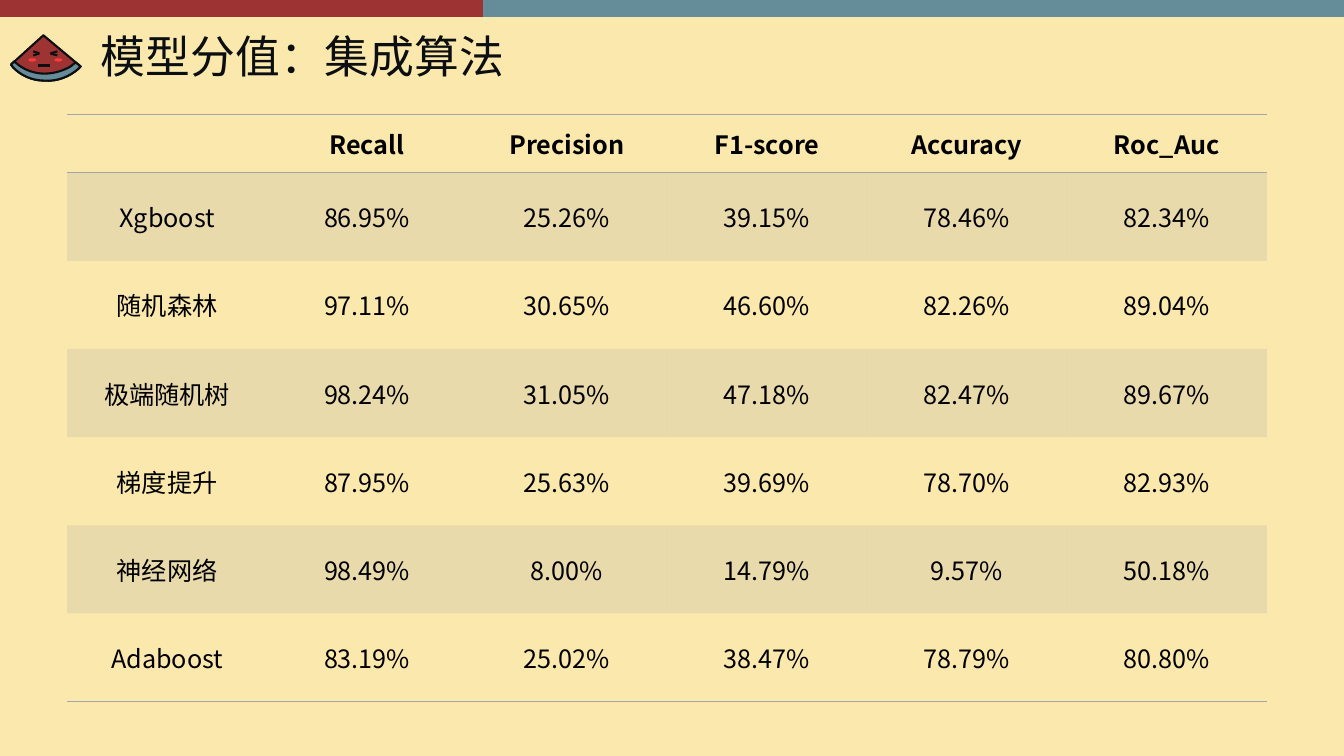
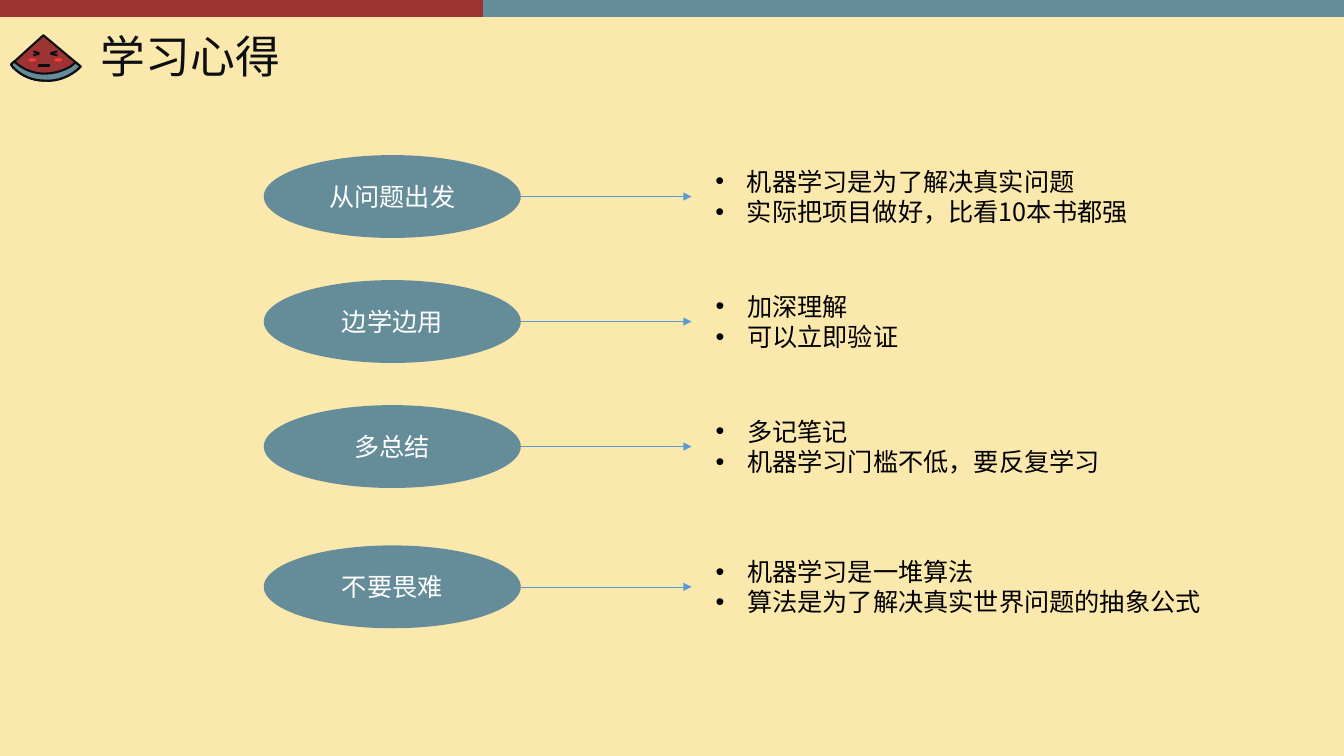
from lxml import etree
from pptx import Presentation
from pptx.dml.color import RGBColor
from pptx.enum import shapes as kinds, text as txt
from pptx.oxml import ns
from pptx.util import Pt

COLORS = {
    "paper": "FBE8AD", "red": "9D3332", "teal": "648C99", "ink": "0C0F11",
    "cheek": "FF3B3B", "gray": "A5A5A5", "arrow": "5B9BD5",
    "black": "000000", "white": "FFFFFF",
}
FONT = "Noto Sans CJK SC"
RGB = {name: RGBColor.from_string(value) for name, value in COLORS.items()}


def write_text(frame, *lines, size=18, color="black", bold=False, align=None,
               spacing=None, bullet=False):
    """Fill a text frame with one paragraph per line."""
    for number, line in enumerate(lines):
        paragraph = frame.add_paragraph() if number else frame.paragraphs[0]
        paragraph.alignment = align
        if spacing:
            paragraph.line_spacing = spacing
        if bullet:
            props = paragraph._p.get_or_add_pPr()
            props.set("marL", str(Pt(22.5)))
            props.set("indent", str(-Pt(22.5)))
            etree.SubElement(props, ns.qn("a:buFont")).set("typeface", "Arial")
            etree.SubElement(props, ns.qn("a:buChar")).set("char", "•")
        run = paragraph.add_run()
        run.text = line
        run.font.size, run.font.bold, run.font.name = Pt(size), bold, FONT
        run.font.color.rgb = RGB[color]
        east_asian = etree.SubElement(run._r.get_or_add_rPr(), ns.qn("a:ea"))
        east_asian.set("typeface", FONT)


def paint(item, fill=None, line=None, width=1.5):
    """Set fill and outline, without a shadow; a connector has no fill."""
    if line:
        item.line.color.rgb = RGB[line]
        item.line.width = Pt(width)
    else:
        item.line.fill.background()
    if fill:
        item.fill.solid()
        item.fill.fore_color.rgb = RGB[fill]
        item.shadow.inherit = False
    else:
        etree.SubElement(item._element.spPr, ns.qn("a:effectLst"))


prs = Presentation()
prs.slide_width, prs.slide_height = Pt(960), Pt(540)
prs.slide_master.background.fill.solid()
prs.slide_master.background.fill.fore_color.rgb = RGB["paper"]
RECT, OVAL = kinds.MSO_SHAPE.RECTANGLE, kinds.MSO_SHAPE.OVAL
STRAIGHT = kinds.MSO_CONNECTOR.STRAIGHT
CENTER = txt.PP_ALIGN.CENTER
MIDDLE = txt.MSO_ANCHOR.MIDDLE

# Watermelon outlines: knots of two joined Bezier curves, sampled evenly
outer_knots = [(56.2, 49), (49.7, 54.7), (41, 58.3), (31.7, 57.6),
               (23, 57.6), (15.1, 54), (9.4, 48.2)]
inner_knots = [(13.7, 46.8), (18.7, 50.4), (25.2, 52.6), (31.7, 52.6),
               (38.9, 52.6), (45.4, 50.4), (50.4, 47.5)]
outer_arc, inner_arc = [
    [tuple((1 - t) ** 3 * a + 3 * t * (1 - t) ** 2 * b
           + 3 * t ** 2 * (1 - t) * c + t ** 3 * d
           for a, b, c, d in zip(*knots[start:start + 4]))
     for start in (0, 3) for t in [step / 8 for step in range(9)]]
    for knots in (outer_knots, inner_knots)]
left_tip, right_tip = (7.9, 46.1), (57.6, 47.5)
melon_parts = [
    ("red", [(31, 25.2), right_tip, *outer_arc, left_tip]),
    ("teal", [(10.1, 43.9), *inner_arc, (54, 44.6), right_tip, *outer_arc, left_tip]),
]
face_lines = [  # mouth, left eye, right eye
    (27.4, 46.8, 36, 46.8),
    (23.8, 36.7, 28.1, 38.2), (23.8, 39.6, 28.1, 38.2),
    (41, 39.6, 36, 38.2), (41, 36.7, 36, 38.2),
]

# Frame shared by both slides
pages = []
for title in ("模型分值：集成算法", "学习心得"):
    page = prs.slides.add_slide(prs.slide_layouts[6])
    pages.append(page)
    for left, width, color in ((291, 669, "teal"), (0, 345, "red")):
        band = page.shapes.add_shape(RECT, Pt(left), 0, Pt(width), Pt(12.2))
        paint(band, color)
    for color, points in melon_parts:
        corners = [(Pt(x), Pt(y)) for x, y in points]
        outline = page.shapes.build_freeform(*corners[0])
        outline.add_line_segments(corners[1:], close=True)
        paint(outline.convert_to_shape(), color, "ink")
    for left in (20.2, 38.9):
        cheek = page.shapes.add_shape(OVAL, Pt(left), Pt(41.6), Pt(5.6), Pt(2.4))
        paint(cheek, "cheek")
    for ends in face_lines:
        stroke = page.shapes.add_connector(STRAIGHT, *map(Pt, ends))
        paint(stroke, line="ink")
    heading = page.shapes.add_textbox(Pt(65), Pt(12.2), Pt(895), Pt(60)).text_frame
    heading.word_wrap = True
    heading.vertical_anchor = MIDDLE
    write_text(heading, title, size=32, color="ink", spacing=0.9)
scores_page, lessons_page = pages

# Model scores
scores = [
    ("", "Recall", "Precision", "F1-score", "Accuracy", "Roc_Auc"),
    ("Xgboost", "86.95%", "25.26%", "39.15%", "78.46%", "82.34%"),
    ("随机森林", "97.11%", "30.65%", "46.60%", "82.26%", "89.04%"),
    ("极端随机树", "98.24%", "31.05%", "47.18%", "82.47%", "89.67%"),
    ("梯度提升", "87.95%", "25.63%", "39.69%", "78.70%", "82.93%"),
    ("神经网络", "98.49%", "8.00%", "14.79%", "9.57%", "50.18%"),
    ("Adaboost", "83.19%", "25.02%", "38.47%", "78.79%", "80.80%"),
]
last_row = len(scores) - 1
score_frame = scores_page.shapes.add_table(
    len(scores), len(scores[0]), Pt(48), Pt(81.7), Pt(857), Pt(419.6))
score_table = score_frame.table
score_table.horz_banding = False
for style_id in score_frame._element.iter(ns.qn("a:tableStyleId")):
    style_id.text = "{2D5ABB26-0587-4C30-8999-92F81FD0307C}"  # no style, no grid
for r, values in enumerate(scores):
    score_table.rows[r].height = Pt(63 if r else 41.6)
    for c, value in enumerate(values):
        cell = score_table.cell(r, c)
        cell.vertical_anchor = MIDDLE
        if value:
            write_text(cell.text_frame, value, bold=r == 0, align=CENTER)
        if r % 2:
            cell.fill.solid()
            cell.fill.fore_color.rgb = RGB["gray"]
            for tint in cell._tc.tcPr.iter(ns.qn("a:srgbClr")):
                etree.SubElement(tint, ns.qn("a:alpha")).set("val", "20000")
        else:
            cell.fill.background()
        # Rules above and below the header and below the last row
        edges = {0: ["a:lnT", "a:lnB"], last_row: ["a:lnB"]}.get(r, [])
        for place, edge in enumerate(edges):
            rule = etree.Element(ns.qn(edge), w=str(Pt(1)))
            ink = etree.SubElement(rule, ns.qn("a:solidFill"))
            etree.SubElement(ink, ns.qn("a:srgbClr")).set("val", COLORS["gray"])
            cell._tc.tcPr.insert(place, rule)

# Lessons: topic, arrow, advice
lessons = [  # centre height, advice width, topic, advice
    (140.4, 313, "从问题出发", ["机器学习是为了解决真实问题", "实际把项目做好，比看10本书都强"]),
    (229.7, 146, "边学边用", ["加深理解", "可以立即验证"]),
    (319, 292, "多总结", ["多记笔记", "机器学习门槛不低，要反复学习"]),
    (419.2, 364, "不要畏难", ["机器学习是一堆算法", "算法是为了解决真实世界问题的抽象公式"]),
]
for middle, advice_width, topic, advice in lessons:
    bubble = lessons_page.shapes.add_shape(
        OVAL, Pt(188.4), Pt(middle - 29.6), Pt(183.6), Pt(59.2))
    paint(bubble, "teal")
    bubble.text_frame.vertical_anchor = MIDDLE
    write_text(bubble.text_frame, topic, color="white", align=CENTER)
    arrow = lessons_page.shapes.add_connector(
        STRAIGHT, Pt(372), Pt(middle), Pt(494), Pt(middle))
    paint(arrow, line="arrow", width=0.5)
    etree.SubElement(arrow.line._ln, ns.qn("a:tailEnd")).set("type", "triangle")
    notes = lessons_page.shapes.add_textbox(
        Pt(504), Pt(middle - 25.4), Pt(advice_width), Pt(50.8)).text_frame
    notes.word_wrap = True
    write_text(notes, *advice, bullet=True)

prs.save("out.pptx")
